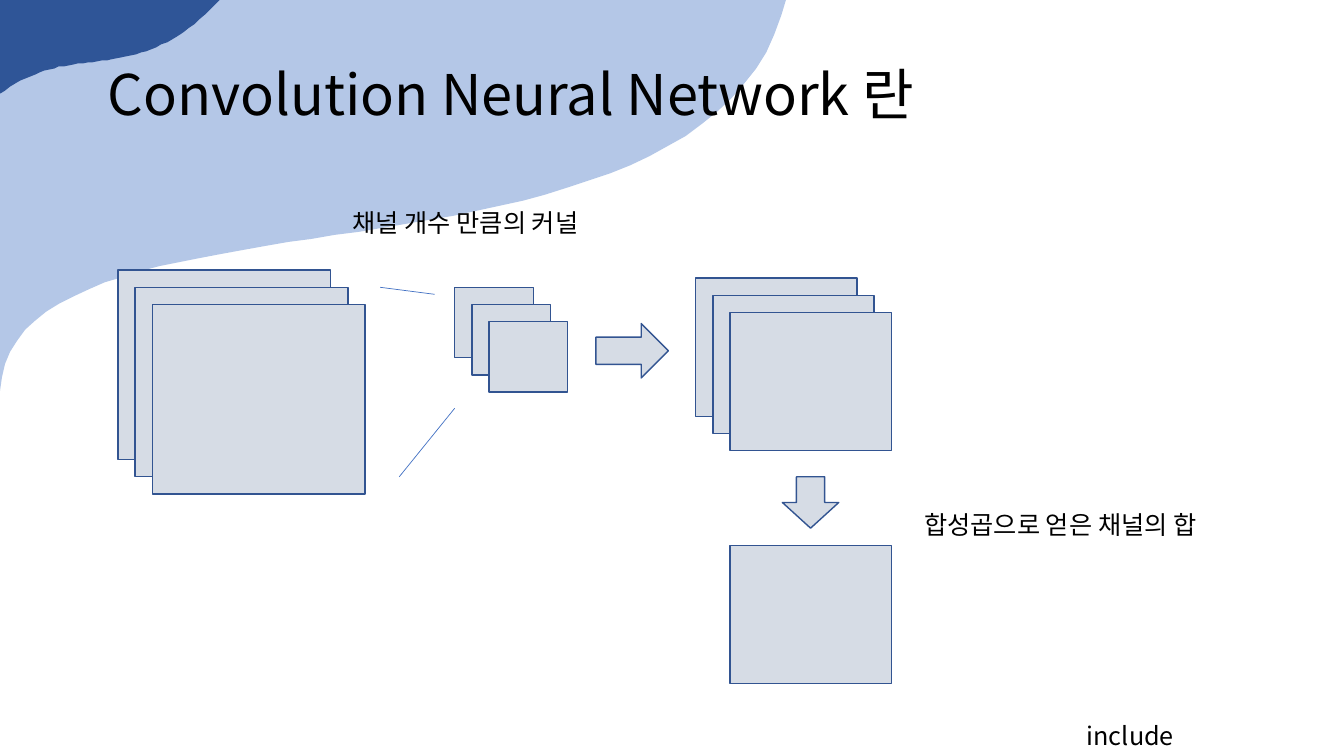
from dataclasses import dataclass

from lxml import etree
from pptx import Presentation
from pptx.dml.color import RGBColor
from pptx.enum.shapes import MSO_CONNECTOR, MSO_SHAPE
from pptx.enum.text import MSO_ANCHOR
from pptx.oxml.ns import qn
from pptx.util import Pt

RECT = MSO_SHAPE.RECTANGLE
RIGHT = MSO_SHAPE.RIGHT_ARROW
DOWN = MSO_SHAPE.DOWN_ARROW
LINE = MSO_CONNECTOR.STRAIGHT
TOP = MSO_ANCHOR.TOP
SCALE = 9144
STEPS = 48
SHIFT = 17


@dataclass(frozen=True)
class Theme:
    font: str = "Noto Sans CJK KR"
    ink: str = "000000"
    pale: str = "B4C7E7"
    deep: str = "2F5597"
    panel: str = "D6DCE5"
    edge: str = "325491"
    ray: str = "4472C4"
    title: int = 40
    body: int = 18
    border: float = 1
    thin: float = 0.5


THEME = Theme()


def px(*sizes):
    return [round(size * SCALE) for size in sizes]


def color(code):
    return RGBColor.from_string(code)


def add_text(slide, box, words, size):
    frame = slide.shapes.add_textbox(*px(*box)).text_frame
    frame.word_wrap = True
    frame.vertical_anchor = TOP
    para = frame.paragraphs[0]
    run = para.add_run()
    run.text = words
    run.font.name = THEME.font
    run.font.size = Pt(size)
    run.font.color.rgb = color(THEME.ink)
    east = etree.SubElement(run.font._element, qn("a:ea"))
    east.set("typeface", THEME.font)
    return para


def add_panel(slide, kind, box):
    shape = slide.shapes.add_shape(kind, *px(*box))
    shape.shadow.inherit = False
    shape.fill.solid()
    shape.fill.fore_color.rgb = color(THEME.panel)
    shape.line.color.rgb = color(THEME.edge)
    shape.line.width = Pt(THEME.border)


def add_stack(slide, box, count=3):
    left, top, width, height = box
    for step in range(count):
        move = step * SHIFT
        add_panel(slide, RECT, (left + move, top + move, width, height))


def add_ray(slide, start, end):
    ray = slide.shapes.add_connector(LINE, *px(*start, *end))
    ray.line.color.rgb = color(THEME.ray)
    ray.line.width = Pt(THEME.thin)
    etree.SubElement(ray._element.spPr, qn("a:effectLst"))


def curve(ends):
    for step in range(1, STEPS + 1):
        t = step / STEPS
        parts = ((1 - t) ** 3, 3 * t * (1 - t) ** 2, 3 * t * t * (1 - t), t ** 3)
        yield tuple(sum(p * end[axis] for p, end in zip(parts, ends)) for axis in (0, 1))


def add_wave(slide, start, ends, fill):
    form = slide.shapes.build_freeform(*start, scale=SCALE)
    form.add_line_segments([ends[0], *curve(ends)], close=True)
    wave = form.convert_to_shape()
    wave.shadow.inherit = False
    wave.fill.solid()
    wave.fill.fore_color.rgb = color(fill)
    wave.line.fill.background()


def add_back(slide):
    add_wave(slide, (-10, -6), [(781, -5), (706, 327), (-18, 153), (0, 403)], THEME.pale)
    add_wave(slide, (-10, -16), [(228, -11), (130, 104), (68, 25), (-15, 107)], THEME.deep)


def add_head(slide, box):
    para = add_text(slide, box, "Convolution Neural Network 란", THEME.title)
    para.line_spacing = 0.9
    para.space_before = Pt(10)


def add_flow(slide, box):
    left, top, width, height = box
    add_text(slide, (left + 223, top, 323, 40), "채널 개수 만큼의 커널", THEME.body)
    add_stack(slide, (left, top + 67, 211, 188))
    add_ray(slide, (left + 260, top + 84), (left + 314, top + 91))
    add_ray(slide, (left + 279, top + 272), (left + 334, top + 204))
    add_stack(slide, (left + 334, top + 84, 78, 70))
    add_panel(slide, RIGHT, (left + 474, top + 120, 72, 54))
    add_stack(slide, (left + 573, top + 75, 160, 137))
    add_panel(slide, DOWN, (left + 659, top + 272, 56, 51))
    add_panel(slide, RECT, (left + 607, top + height - 137, 160, 137))
    add_text(slide, (left + width - 323, top + 299, 323, 40), "합성곱으로 얻은 채널의 합", THEME.body)


def main():
    deck = Presentation()
    deck.slide_width, deck.slide_height = px(1333, 750)
    slide = deck.slides.add_slide(deck.slide_layouts[6])
    add_text(slide, (1068, 710, 338, 40), "include", THEME.body)
    add_back(slide)
    add_head(slide, (97, 62, 1133, 100))
    add_flow(slide, (117, 201, 1113, 477))
    deck.save("out.pptx")


if __name__ == "__main__":
    main()
